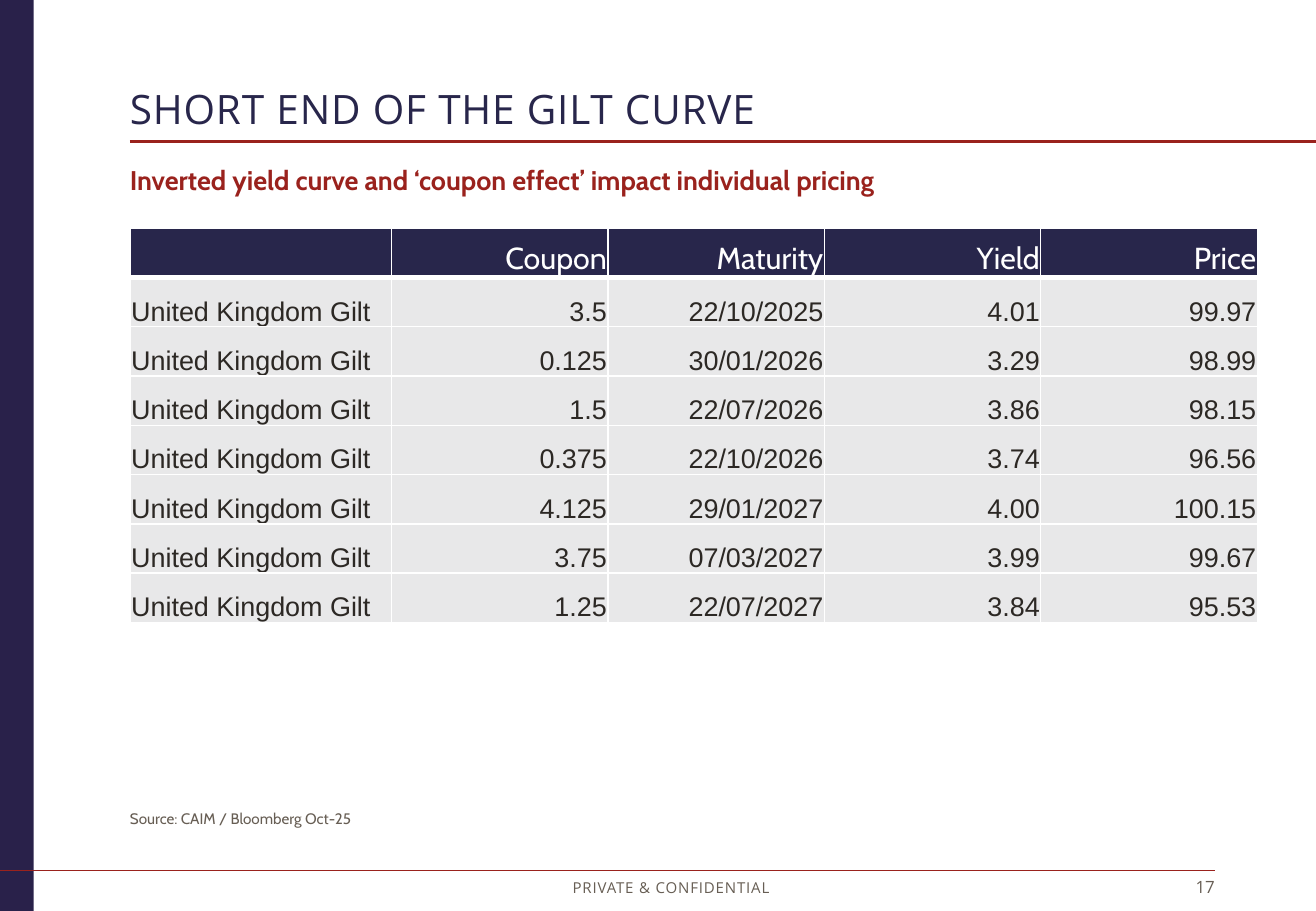
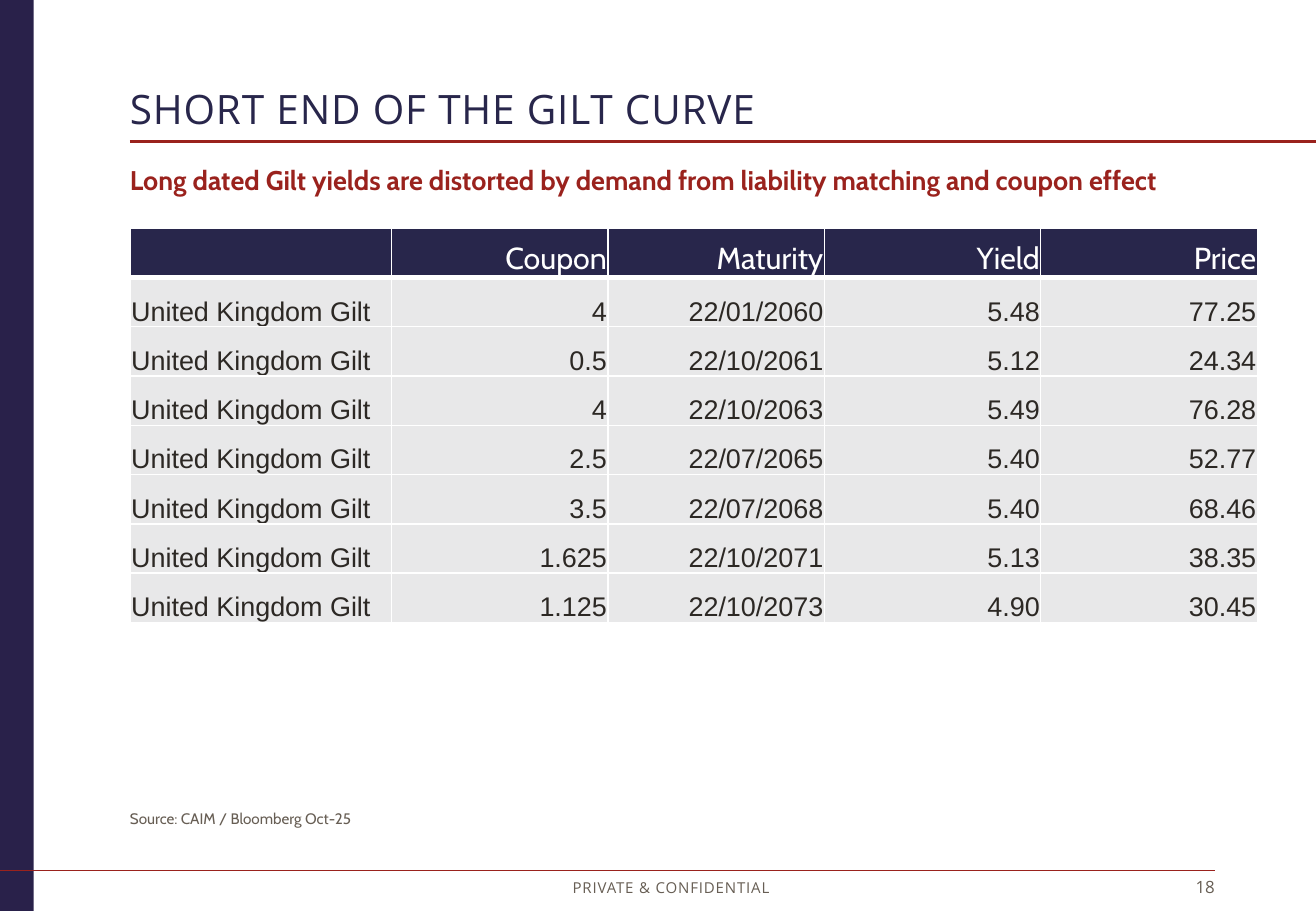
from lxml.etree import SubElement
from pptx import Presentation
from pptx.dml.color import RGBColor
from pptx.enum.shapes import MSO_CONNECTOR, MSO_SHAPE
from pptx.enum.text import MSO_ANCHOR, MSO_AUTO_SIZE, PP_ALIGN
from pptx.oxml.ns import qn
from pptx.util import Pt

PAGE_WIDTH, PAGE_HEIGHT = 780, 540
LEFT = 77
FOOTER_RIGHT = 720
TABLE_TOP, ROW_HEIGHT = 135.3, 29.2
COLUMN_WIDTHS = [154.8] + [128.3] * 4
NAVY, BAND, RED, GREY = "28264B", "29214A", "9A221D", "675E54"
INK, PALE, WHITE = "2C2824", "E8E8E9", "FFFFFF"

TITLE = {"name": "Open Sans", "size": Pt(24), "color": NAVY, "spacing": 50}
SUBTITLE = {"name": "Cabin", "size": Pt(16), "color": RED, "bold": True}
SOURCE = {"name": "Cabin", "size": Pt(9), "color": GREY}
FOOTER = {"name": "Open Sans", "size": Pt(8.9), "color": GREY, "spacing": 50}
PAGE_NUMBER = {"name": "Open Sans", "size": Pt(10), "color": GREY}
HEADER_CELL = {"name": "Cabin", "size": Pt(18), "color": WHITE, "bold": False}
BODY_CELL = {"name": "Arial", "size": Pt(16), "color": INK, "bold": False}

HEADINGS = ["", "Coupon", "Maturity", "Yield", "Price"]
SHORT_GILTS = [
    ("3.5", "22/10/2025", "4.01", "99.97"),
    ("0.125", "30/01/2026", "3.29", "98.99"),
    ("1.5", "22/07/2026", "3.86", "98.15"),
    ("0.375", "22/10/2026", "3.74", "96.56"),
    ("4.125", "29/01/2027", "4.00", "100.15"),
    ("3.75", "07/03/2027", "3.99", "99.67"),
    ("1.25", "22/07/2027", "3.84", "95.53"),
]
LONG_GILTS = [
    ("4", "22/01/2060", "5.48", "77.25"),
    ("0.5", "22/10/2061", "5.12", "24.34"),
    ("4", "22/10/2063", "5.49", "76.28"),
    ("2.5", "22/07/2065", "5.40", "52.77"),
    ("3.5", "22/07/2068", "5.40", "68.46"),
    ("1.625", "22/10/2071", "5.13", "38.35"),
    ("1.125", "22/10/2073", "4.90", "30.45"),
]


def rgb(value):
    return RGBColor.from_string(value)


def write(para, text, style, align=PP_ALIGN.LEFT):
    """Put one run in the paragraph and apply a format dict to it."""
    para.alignment = align
    span = para.add_run()
    span.text = text
    for key, value in style.items():
        if key == "color":
            span.font.color.rgb = rgb(value)
        elif key == "spacing":
            span._r.get_or_add_rPr().set("spc", str(value))
        else:
            setattr(span.font, key, value)


def fill_box(box, frame, text, style, align=PP_ALIGN.LEFT, anchor=MSO_ANCHOR.TOP):
    """Place a text box or placeholder at frame and write its only line."""
    for side, value in zip(("left", "top", "width", "height"), frame):
        setattr(box, side, Pt(value))
    body = box.text_frame
    settings = {"word_wrap": True, "auto_size": MSO_AUTO_SIZE.SHAPE_TO_FIT_TEXT,
                "vertical_anchor": anchor, "margin_left": 0, "margin_top": 0,
                "margin_right": 0, "margin_bottom": 0}
    for key, value in settings.items():
        setattr(body, key, value)
    para = body.paragraphs[0]
    if box.is_placeholder:
        properties = para._p.get_or_add_pPr()
        properties.set("marL", "0")
        properties.set("indent", "0")
        SubElement(properties, qn("a:buNone"))
        para.space_before = Pt(0)
    write(para, text, style, align)
    return para


def add_text(page, frame, text, style, align):
    fill_box(page.shapes.add_textbox(0, 0, 0, 0), frame, text, style, align)


def add_rule(page, start, end, top, weight):
    rule = page.shapes.add_connector(
        MSO_CONNECTOR.STRAIGHT, Pt(start), Pt(top), Pt(end), Pt(top))
    rule.line.color.rgb = rgb(RED)
    rule.line.width = Pt(weight)
    SubElement(rule._element.spPr, qn("a:effectLst"))


def add_page(deck, number, subtitle):
    """Add a slide with the shared band, rules, footer, title and source."""
    page = deck.slides.add_slide(deck.slide_layouts.get_by_name("Two Content"))
    band = page.shapes.add_shape(MSO_SHAPE.RECTANGLE, 0, 0, Pt(20), Pt(PAGE_HEIGHT))
    band.shadow.inherit = False
    band.fill.solid()
    band.fill.fore_color.rgb = rgb(BAND)
    band.line.fill.background()
    add_rule(page, 0, FOOTER_RIGHT, 516, 1)
    add_rule(page, LEFT, PAGE_WIDTH, 84, 1.5)
    add_text(page, (680, 519.8, 40, 12.3), str(number), PAGE_NUMBER, PP_ALIGN.RIGHT)
    add_text(page, (315, 520.6, 165.6, 12.3), "PRIVATE & CONFIDENTIAL", FOOTER,
             PP_ALIGN.CENTER)

    title, heading, source = page.placeholders
    para = fill_box(title, (LEFT, 52.6, 497.5, 26.6), "SHORT END OF THE GILT CURVE",
                    TITLE, anchor=MSO_ANCHOR.BOTTOM)
    para.line_spacing = 0.9
    fill_box(heading, (LEFT, 96.8, 641.5, 19.4), subtitle, SUBTITLE,
             anchor=MSO_ANCHOR.MIDDLE)
    fill_box(source, (LEFT, 480, 641.5, 11), "Source: CAIM / Bloomberg Oct-25", SOURCE)
    return page


def add_borders(cell, bottom_weight):
    weights = {"a:lnL": 1, "a:lnR": 1, "a:lnT": 1, "a:lnB": bottom_weight}
    for tag, weight in weights.items():
        line = SubElement(cell._tc.get_or_add_tcPr(), qn(tag), w=str(Pt(weight)))
        paint = SubElement(line, qn("a:solidFill"))
        SubElement(paint, qn("a:srgbClr"), val=WHITE)


def format_cell(cell, text, is_header, align):
    add_borders(cell, 3 if is_header else 1)
    cell.fill.solid()
    cell.fill.fore_color.rgb = rgb(NAVY if is_header else PALE)
    settings = {"margin_left": Pt(0.6), "margin_top": Pt(0.6), "margin_right": Pt(0.6),
                "margin_bottom": 0, "vertical_anchor": MSO_ANCHOR.BOTTOM}
    for key, value in settings.items():
        setattr(cell, key, value)
    if text:
        write(cell.text_frame.paragraphs[0], text,
              HEADER_CELL if is_header else BODY_CELL, align)


def add_gilt_table(page, gilts):
    rows = [HEADINGS] + [("United Kingdom Gilt", *gilt) for gilt in gilts]
    table = page.shapes.add_table(
        len(rows), len(HEADINGS), Pt(LEFT + 0.2), Pt(TABLE_TOP),
        Pt(sum(COLUMN_WIDTHS)), Pt(ROW_HEIGHT * len(rows))).table
    table.horz_banding = False
    for column, width in zip(table.columns, COLUMN_WIDTHS):
        column.width = Pt(width)
    for row_index, row in enumerate(rows):
        table.rows[row_index].height = Pt(ROW_HEIGHT)
        for column_index, text in enumerate(row):
            align = PP_ALIGN.RIGHT if column_index else PP_ALIGN.LEFT
            format_cell(table.cell(row_index, column_index), text,
                        row_index == 0, align)


def main():
    deck = Presentation()
    deck.slide_width, deck.slide_height = Pt(PAGE_WIDTH), Pt(PAGE_HEIGHT)
    pages = [
        ("Inverted yield curve and ‘coupon effect’ impact individual pricing",
         SHORT_GILTS),
        ("Long dated Gilt yields are distorted by demand from liability matching "
         "and coupon effect", LONG_GILTS),
    ]
    for number, (subtitle, gilts) in enumerate(pages, start=17):
        add_gilt_table(add_page(deck, number, subtitle), gilts)
    deck.save("out.pptx")


if __name__ == "__main__":
    main()
